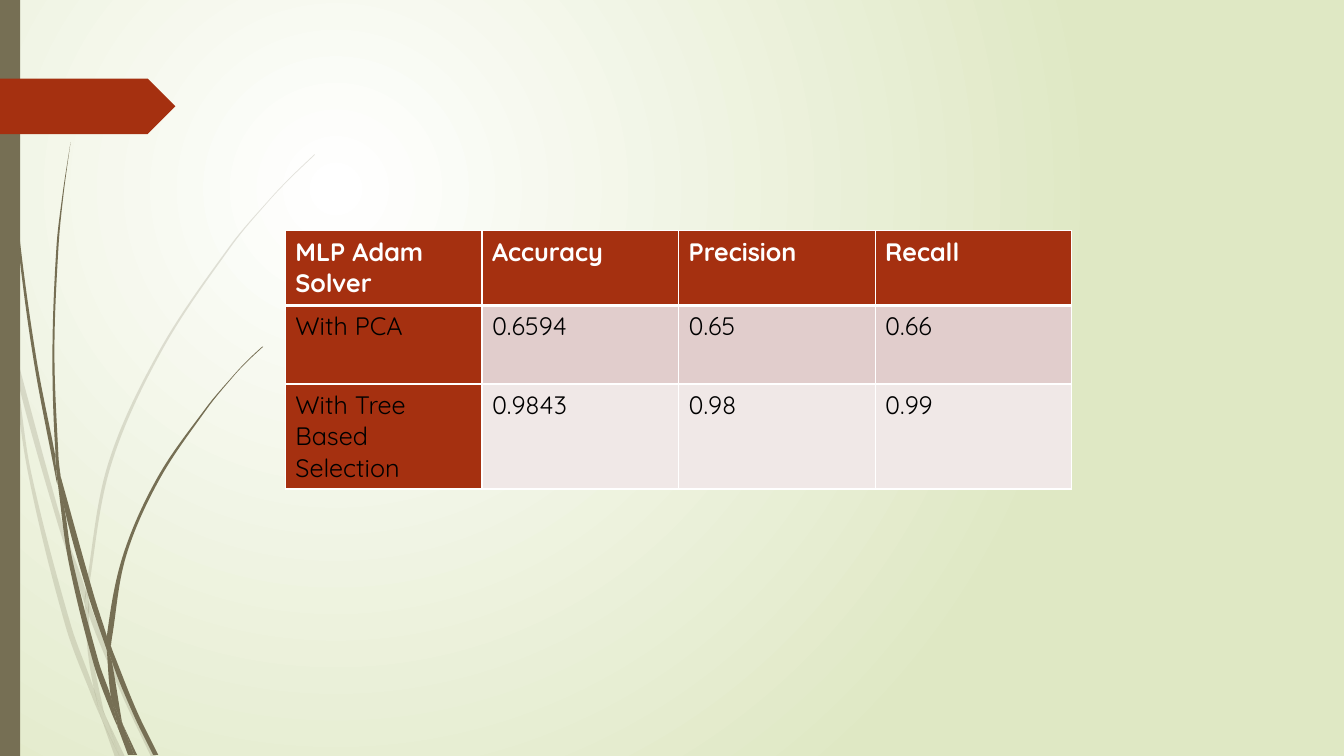
from dataclasses import dataclass
from math import hypot

from lxml import etree
from pptx import Presentation
from pptx.dml.color import RGBColor
from pptx.enum.shapes import MSO_SHAPE
from pptx.oxml.ns import qn
from pptx.util import Inches, Pt

RECTANGLE = MSO_SHAPE.RECTANGLE
PENTAGON = MSO_SHAPE.PENTAGON
UNITS_PER_INCH = 1000
CORNER_COSINE = 0.7
BLANK_LAYOUT = 6


@dataclass(frozen=True)
class Theme:
    font: str = "Quicksand"
    text_size: int = 18
    accent: str = "A53010"
    stem: str = "766F54"
    light: str = "FFFFFF"
    dark: str = "000000"
    meadow: str = "DFE8C4"
    bands: tuple = ("E1CDCC", "F0E8E7")
    thin: int = 1
    thick: int = 3
    faint_alpha: int = 20


THEME = Theme()

FAINT_GRASS = [
    "0.11,3.5 0.09,3.22 0,2.82 0,2.99 0.1,3.44",
    "0.58,5.22 0.84,5.99 0.85,5.86 0.62,5.2 0.14,3.45 0.17,3.76",
    "0.92,6.07 0.88,5.96 0.88,6.1 1.23,6.94 1.5,7.51 1.55,7.51 1.27,6.92",
    "1.19,7.51 1.24,7.51 1.05,7.11",
    "0.93,6.83 0.7,6.19 0.31,4.69 0.17,3.76 0.11,3.5 0.28,4.7 0.65,6.21 0.92,6.93 "
    "1.01,7.14 0.99,7.07",
    "0.84,5.99 0.87,6.46 0.93,6.83 0.96,6.92 1.05,7.11 1.03,7.06 0.91,6.46 0.88,6.1 0.88,6.08",
    "0.88,5.84 1.1,4.62 1.6,3.49 2.29,2.45 2.68,1.98 2.9,1.75 3.12,1.54 3.12,1.53 2.89,1.75 "
    "2.68,1.97 2.28,2.44 1.58,3.48 1.07,4.61 0.85,5.84 0.85,5.86 0.88,5.96",
    "1.01,7.14 1.14,7.51 1.19,7.51",
    "0.88,6.08 0.88,6.1 0.88,5.96 0.85,5.86 0.84,5.99",
    "0.96,6.92 0.93,6.83 0.99,7.07 1.01,7.14 1.19,7.51 1.05,7.11",
]
DARK_GRASS = [
    "0.07,1.1 0.17,2.33 0.33,3.55 0.56,4.77 0.57,4.81 0.55,4.57 0.55,4.53 0.36,3.55 "
    "0.19,2.32 0.08,1.09 0.05,0.48 0.04,0 0.03,0 0.04,0.48",
    "0.88,5.92 1.06,6.45 1.06,6.33 1.06,6.31 0.93,5.9 0.6,4.72 0.64,5.05",
    "1.13,6.49 1.1,6.41 1.11,6.56 1.32,7.08 1.52,7.49 1.57,7.49 1.36,7.06",
    "1.1,6.91 0.98,6.57 0.72,5.56 0.64,5.05 0.57,4.77 0.68,5.57 0.93,6.59 1.11,7.08 "
    "1.17,7.22 1.16,7.17",
    "0.6,4.72 0.58,4.53 0.54,3.49 0.58,2.45 0.63,1.93 0.7,1.41 0.62,1.93 0.56,2.45 "
    "0.52,3.49 0.55,4.49",
    "1.33,7.49 1.36,7.49 1.22,7.19",
    "0.57,4.77 0.64,5.05 0.6,4.72 0.55,4.49 0.55,4.53",
    "1.11,6.33 1.25,5.52 1.58,4.76 2.05,4.06 2.31,3.74 2.45,3.59 2.61,3.44 2.6,3.44 "
    "2.45,3.58 2.31,3.73 2.04,4.05 1.56,4.74 1.22,5.51 1.06,6.31 1.1,6.41",
    "1.17,7.22 1.27,7.49 1.31,7.49",
    "1.06,6.45 1.1,6.91 1.16,7.06 1.22,7.19 1.21,7.16 1.11,6.56 1.09,6.51",
    "1.06,6.45 1.09,6.51 1.11,6.56 1.1,6.41 1.06,6.31 1.06,6.33",
    "1.16,7.06 1.1,6.91 1.16,7.17 1.17,7.22 1.3,7.49 1.33,7.49 1.22,7.19",
]

SCORES = [
    ("MLP Adam Solver", "Accuracy", "Precision", "Recall"),
    ("With PCA", "0.6594", "0.65", "0.66"),
    ("With Tree Based Selection", "0.9843", "0.98", "0.99"),
]
COLUMN_WIDTH = 1.95
ROW_HEIGHTS = (0.74, 0.78, 1.04)


def color(code):
    return RGBColor.from_string(code)


def paint_background(slide):
    fill = slide.background.fill
    fill.gradient()
    for stop, code, position in zip(fill.gradient_stops, (THEME.light, THEME.meadow), (0, 1)):
        stop.color.rgb = color(code)
        stop.position = position
    gradient = slide.element.find(".//" + qn("a:gradFill"))
    gradient.remove(gradient.find(qn("a:lin")))
    circle = etree.SubElement(gradient, qn("a:path"), {"path": "circle"})
    etree.SubElement(circle, qn("a:fillToRect"),
                     {"l": "50000", "t": "50000", "r": "100000", "b": "100000"})


def paint_shape(shape, code, alpha=100):
    shape.shadow.inherit = False
    shape.fill.solid()
    shape.fill.fore_color.rgb = color(code)
    shape.line.fill.background()
    if alpha < 100:
        tint = shape._element.spPr.find(".//" + qn("a:srgbClr"))
        etree.SubElement(tint, qn("a:alpha"), {"val": str(alpha * 1000)})


def add_block(slide, preset, left, top, width, height, code):
    shape = slide.shapes.add_shape(preset, Inches(left), Inches(top), Inches(width), Inches(height))
    paint_shape(shape, code)


def direction(start, end):
    length = hypot(end[0] - start[0], end[1] - start[1])
    return (end[0] - start[0]) / length, (end[1] - start[1]) / length


def handle(before, point, after, toward, reach):
    arriving, leaving = direction(before, point), direction(point, after)
    cosine = arriving[0] * leaving[0] + arriving[1] * leaving[1]
    if cosine < CORNER_COSINE:
        heading, sign = direction(point, toward), 1
    else:
        heading, sign = direction(before, after), 1 if toward == after else -1
    return tuple(value + sign * reach * part for value, part in zip(point, heading))


def curve_edges(shape, points):
    left, top = min(x for x, _ in points), min(y for _, y in points)
    count = len(points)
    for index, line in enumerate(list(shape._element.iter(qn("a:lnTo")))):
        before, start, end, after = (points[(index + step) % count] for step in (-1, 0, 1, 2))
        reach = hypot(end[0] - start[0], end[1] - start[1]) / 3
        controls = (handle(before, start, end, end, reach), handle(start, end, after, start, reach))
        curve = etree.Element(qn("a:cubicBezTo"))
        for x, y in (*controls, end):
            etree.SubElement(curve, qn("a:pt"), {"x": str(round(x - left)), "y": str(round(y - top))})
        line.getparent().replace(line, curve)


def add_blade(group, outline, alpha):
    points = [tuple(round(float(value) * UNITS_PER_INCH) for value in pair.split(","))
              for pair in outline.split()]
    builder = group.shapes.build_freeform(*points[0], scale=Inches(1) / UNITS_PER_INCH)
    builder.add_line_segments(points[1:] + points[:1], close=True)
    shape = builder.convert_to_shape()
    curve_edges(shape, points)
    paint_shape(shape, THEME.stem, alpha)


def add_grass(slide, outlines, alpha):
    group = slide.shapes.add_group_shape()
    for outline in outlines:
        add_blade(group, outline, alpha)


def add_border(cell, side, width):
    line = etree.SubElement(cell._tc.get_or_add_tcPr(), qn("a:ln" + side), {"w": str(Pt(width))})
    fill = etree.SubElement(line, qn("a:solidFill"))
    etree.SubElement(fill, qn("a:srgbClr"), {"val": THEME.light})


def format_cell(cell, row, column):
    header = row == 0
    heavy_sides = {0: "B", 1: "T"}
    for side in "LRTB":
        add_border(cell, side, THEME.thick if heavy_sides.get(row) == side else THEME.thin)
    cell.fill.solid()
    background = THEME.accent if header or column == 0 else THEME.bands[row - 1]
    cell.fill.fore_color.rgb = color(background)
    font = cell.text_frame.paragraphs[0].font
    font.name = THEME.font
    font.size = Pt(THEME.text_size)
    font.bold = header
    font.color.rgb = color(THEME.light if header else THEME.dark)


def add_score_table(slide, left, top):
    columns = len(SCORES[0])
    table = slide.shapes.add_table(
        len(SCORES), columns, Inches(left), Inches(top),
        Inches(COLUMN_WIDTH * columns), Inches(sum(ROW_HEIGHTS))).table
    for row, (height, texts) in enumerate(zip(ROW_HEIGHTS, SCORES)):
        table.rows[row].height = Inches(height)
        for column, text in enumerate(texts):
            cell = table.cell(row, column)
            cell.text = text
            format_cell(cell, row, column)


def main():
    presentation = Presentation()
    presentation.slide_width = Inches(13.33)
    presentation.slide_height = Inches(7.5)
    slide = presentation.slides.add_slide(presentation.slide_layouts[BLANK_LAYOUT])
    paint_background(slide)
    add_grass(slide, FAINT_GRASS, THEME.faint_alpha)
    add_grass(slide, DARK_GRASS, 100)
    add_block(slide, RECTANGLE, 0, 0, 0.2, 7.5, THEME.stem)
    add_block(slide, PENTAGON, 0, 0.78, 1.74, 0.55, THEME.accent)
    add_score_table(slide, 2.83, 2.29)
    presentation.save("out.pptx")


main()
